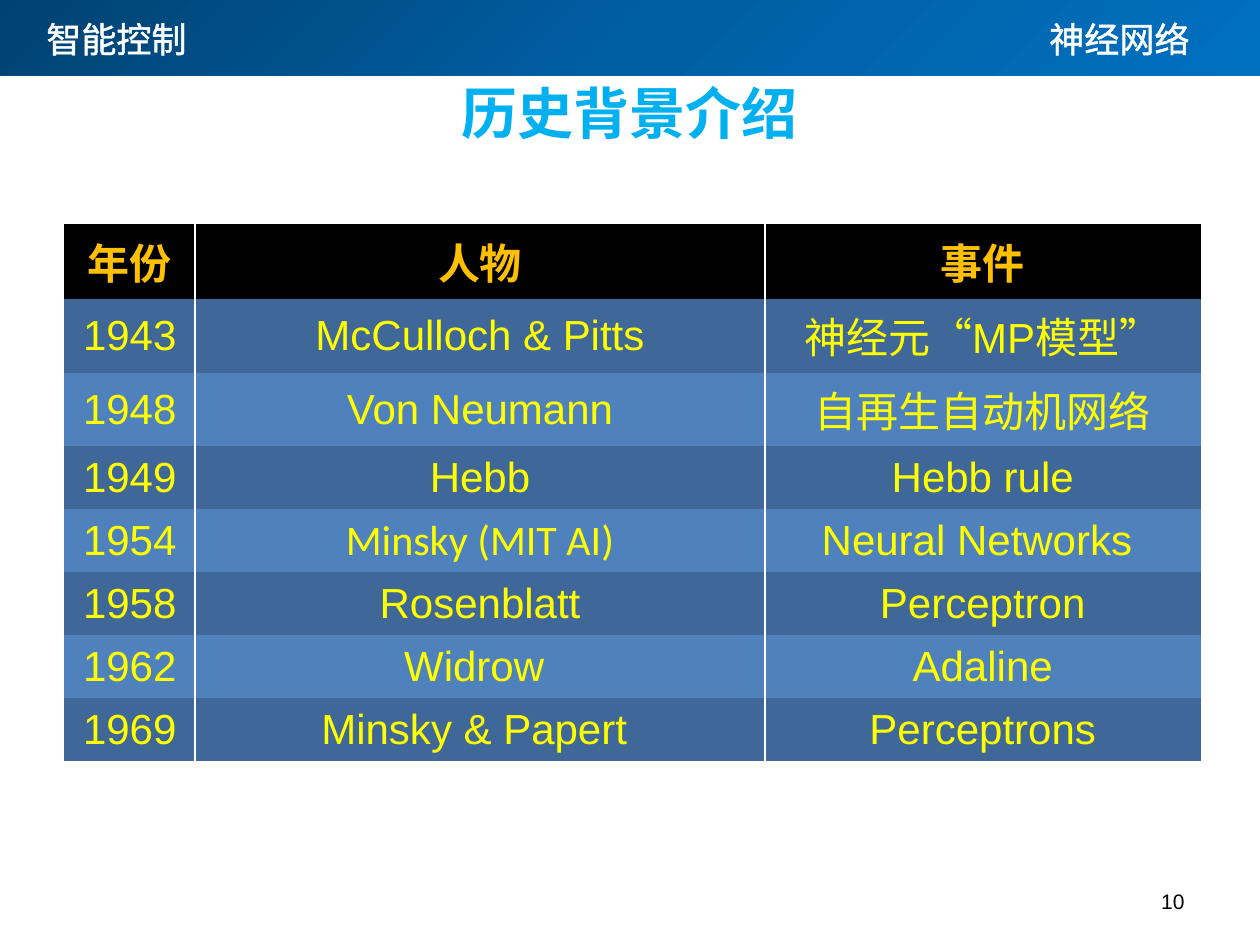
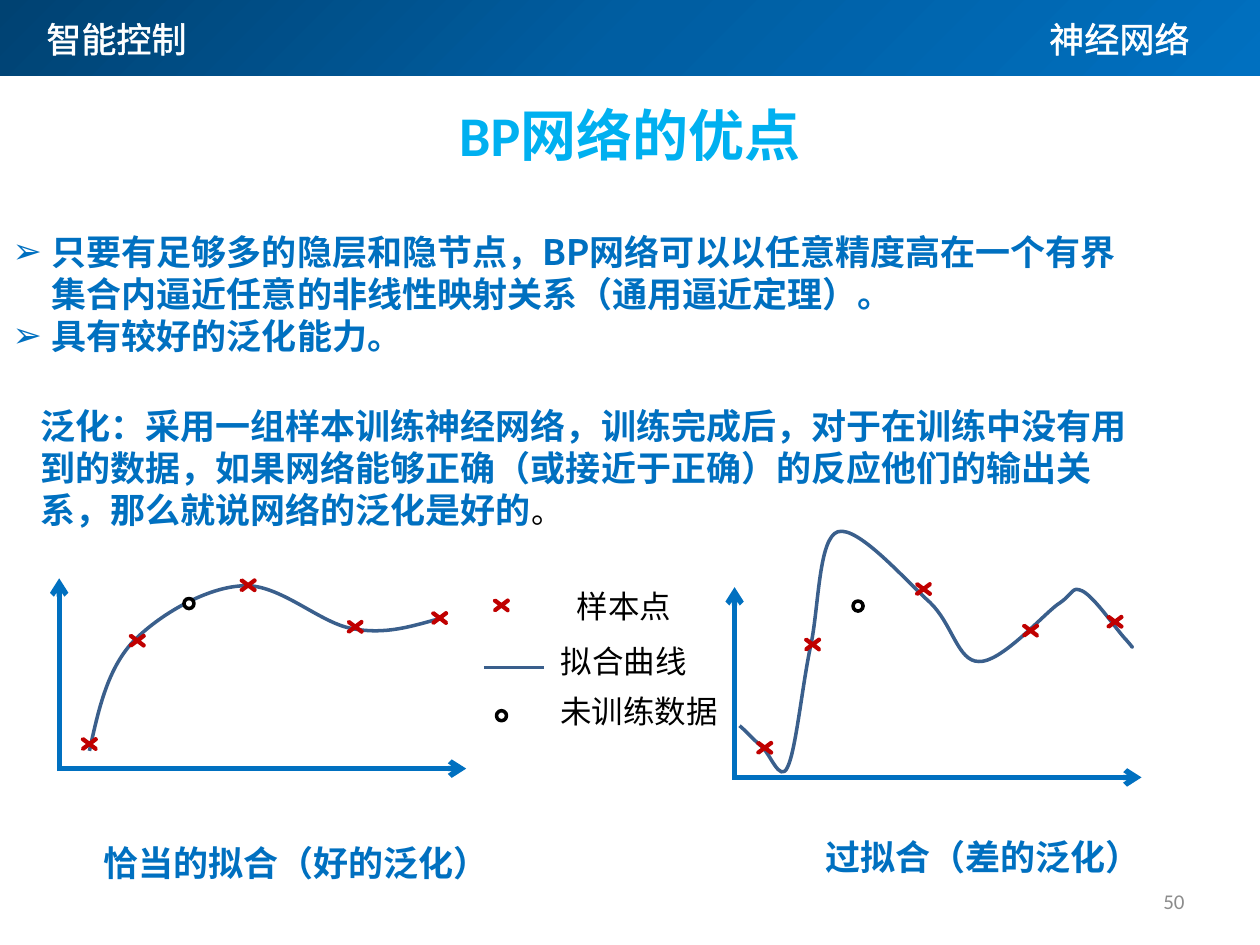
import dataclasses
import typing

import lxml.etree
import pptx
import pptx.dml.color
import pptx.enum.shapes
import pptx.enum.text
import pptx.oxml.ns
import pptx.util

Inches = pptx.util.Inches
Pt = pptx.util.Pt
qn = pptx.oxml.ns.qn
Align = pptx.enum.text.PP_ALIGN
Anchor = pptx.enum.text.MSO_ANCHOR
Preset = pptx.enum.shapes.MSO_SHAPE
Point = tuple[float, float]
Box = tuple[float, float, float, float]


@dataclasses.dataclass(frozen=True)
class Style:
    size: float
    color: str
    font: str = "Arial"
    bold: bool = False
    outline: tuple[str, float] | None = None


@dataclasses.dataclass(frozen=True)
class Theme:
    background: str = "FFFFFF"
    band: tuple[str, ...] = ("004272", "005EA2", "0070C0")
    table_header: str = "000000"
    table_rows: tuple[str, str] = ("3F6797", "4F81BD")
    table_border: str = "FFFFFF"
    axis: str = "0070C0"
    curve: str = "3A5F8C"
    sample: str = "C00000"
    untrained: str = "000000"
    east_asian: str = "Noto Sans CJK SC"
    header: Style = Style(20, "FFFFFF", outline=("FFFFFF", 1.45))
    title: Style = Style(32, "00B0F0", "Calibri", True, ("054697", 1))
    column: Style = Style(24, "FFC000", bold=True)
    cell: Style = Style(24, "FFFF00")
    cell_calibri: Style = Style(24, "FFFF00", "Calibri")
    body: Style = Style(20, "0070C0", "Noto Sans CJK SC", True)
    legend: Style = Style(18, "000000")
    number: Style = Style(12, "000000")
    number_gray: Style = Style(12, "8C8C8C", "Calibri")


THEME = Theme()


class Run(typing.NamedTuple):
    text: str
    style: Style


class Label(typing.NamedTuple):
    text: str
    box: Box
    style: Style


class Plot(typing.NamedTuple):
    origin: Point
    first_sample: Point
    untrained: Point
    curve: list[Point]
    caption: Label


class HistoryRow(typing.NamedTuple):
    height: float
    texts: tuple[str, str, str]


HEADERS = [
    Label("智能控制", (0.27, 0.09, 1.33, 0.44), THEME.header),
    Label("神经网络", (8.23, 0.09, 1.33, 0.44), THEME.header),
]
HISTORY = [
    HistoryRow(0.59, ("年份", "人物", "事件")),
    HistoryRow(0.59, ("1943", "McCulloch & Pitts", "神经元“MP模型”")),
    HistoryRow(0.58, ("1948", "Von Neumann", "自再生自动机网络")),
    HistoryRow(0.47, ("1949", "Hebb", "Hebb rule")),
    HistoryRow(0.5, ("1954", "Minsky (MIT AI)", "Neural Networks ")),
    HistoryRow(0.47, ("1958", "Rosenblatt", "Perceptron")),
    HistoryRow(0.47, ("1962", "Widrow ", "Adaline")),
    HistoryRow(0.47, ("1969", "Minsky & Papert ", "Perceptrons")),
]
COLUMN_WIDTHS = (1.04, 4.52, 3.46)
ADVANTAGES = [
    "只要有足够多的隐层和隐节点，BP网络可以以任意精度高在一个有界集合内逼近任意的非线性映射关系（通用逼近定理）。",
    "具有较好的泛化能力。",
]
GENERALIZATION = [
    Run("泛化：采用一组样本训练神经网络，训练完成后，对于在训练中没有用到的数据，如果网络能够正确（或接近于正确）的反应他们的输出关系，那么就说网络的泛化是好的", THEME.body),
    Run("。", THEME.legend),
]
LEGEND = [
    Label("样本点", (4.48, 4.61, 0.96, 0.4), THEME.legend),
    Label("拟合曲线", (4.35, 5.05, 1.21, 0.4), THEME.legend),
    Label("未训练数据", (4.35, 5.44, 1.46, 0.4), THEME.legend),
]
SAMPLE_OFFSETS = [(0, 0), (0.38, -0.82), (1.26, -1.26), (2.11, -0.93), (2.78, -1)]
PLOTS = [
    Plot(
        (0.47, 6.1), (0.61, 5.83), (1.46, 4.75),
        [(0.71, 5.96), (0.78, 5.64), (0.85, 5.32), (1.05, 5.1),
         (1.26, 4.88), (1.64, 4.66), (1.93, 4.65),
         (2.22, 4.63), (2.54, 4.95), (2.8, 4.99),
         (3.06, 5.04), (3.27, 4.97), (3.49, 4.91)],
        Label("恰当的拟合（好的泛化）", (0.72, 6.63, 3.29, 0.44), THEME.body),
    ),
    Plot(
        (5.83, 6.17), (5.97, 5.86), (6.77, 4.77),
        [(5.87, 5.76), (5.93, 5.81), (5.98, 5.87), (6.04, 5.92),
         (6.11, 5.97), (6.19, 6.22), (6.25, 6.09),
         (6.32, 5.95), (6.37, 5.41), (6.44, 5.1),
         (6.5, 4.79), (6.5, 4.27), (6.65, 4.22),
         (6.81, 4.17), (7.19, 4.61), (7.38, 4.78),
         (7.56, 4.95), (7.6, 5.25), (7.77, 5.25),
         (7.94, 5.26), (8.26, 4.9), (8.39, 4.8),
         (8.53, 4.71), (8.5, 4.65), (8.59, 4.69),
         (8.69, 4.74), (8.87, 5.01), (8.94, 5.08),
         (9, 5.15), (8.99, 5.14), (8.98, 5.13)],
        Label("过拟合（差的泛化）", (6.45, 6.58, 2.73, 0.44), THEME.body),
    ),
]


def rgb(color: str) -> pptx.dml.color.RGBColor:
    return pptx.dml.color.RGBColor.from_string(color)


def add_element(parent, tag: str, **attributes: str):
    element = lxml.etree.SubElement(parent, qn(tag))
    for name, value in attributes.items():
        element.set(name, value)
    return element


def add_color_line(parent, tag: str, color: str, width: float) -> None:
    line = add_element(parent, tag, w=str(Pt(width)))
    add_element(add_element(line, "a:solidFill"), "a:srgbClr", val=color)


def add_run(paragraph, text: str, style: Style) -> None:
    run = paragraph.add_run()
    run.text = text
    properties = run.font._element
    if style.outline:
        add_color_line(properties, "a:ln", *style.outline)
    run.font.size = Pt(style.size)
    run.font.bold = style.bold
    run.font.color.rgb = rgb(style.color)
    run.font.name = style.font
    add_element(properties, "a:ea", typeface=THEME.east_asian)


def place(shape, box: Box) -> None:
    shape.left, shape.top, shape.width, shape.height = map(Inches, box)


def add_text(slide, box: Box, runs: list[Run], wrap: bool = False):
    shape = slide.shapes.add_textbox(*map(Inches, box))
    shape.text_frame.word_wrap = wrap
    for run in runs:
        add_run(shape.text_frame.paragraphs[0], *run)
    return shape


def add_label(slide, label: Label) -> None:
    add_text(slide, label.box, [Run(label.text, label.style)])


def add_preset(slide, preset, box: Box, fill: str, line: str):
    shape = slide.shapes.add_shape(preset, *map(Inches, box))
    shape.shadow.inherit = False
    shape.fill.solid()
    shape.fill.fore_color.rgb = rgb(fill)
    shape.line.color.rgb = rgb(line)
    shape.line.width = Pt(2)
    return shape


def add_band(slide) -> None:
    band = add_preset(slide, Preset.RECTANGLE, (0, 0, 10, 0.6), THEME.band[0], THEME.band[0])
    band.line.fill.background()
    band.fill.gradient()
    gradient = band._element.spPr.find(qn("a:gradFill"))
    for child in list(gradient):
        gradient.remove(child)
    stops = add_element(gradient, "a:gsLst")
    for index, color in enumerate(THEME.band):
        stop = add_element(stops, "a:gs", pos=str(index * 50000))
        add_element(stop, "a:srgbClr", val=color)
    focus = add_element(gradient, "a:path", path="circle")
    add_element(focus, "a:fillToRect", r="100000", b="100000")


def start_slide(presentation, layout: int, title: str, anchor, number: Label):
    slide = presentation.slides.add_slide(presentation.slide_layouts[layout])
    slide.background.fill.solid()
    slide.background.fill.fore_color.rgb = rgb(THEME.background)
    add_band(slide)
    for header in HEADERS:
        add_label(slide, header)
    shape = slide.shapes.title
    place(shape, (0.5, 0.13, 9, 1.25))
    shape.text_frame.vertical_anchor = anchor
    paragraph = shape.text_frame.paragraphs[0]
    paragraph.alignment = Align.CENTER
    paragraph.line_spacing = Pt(58)
    add_run(paragraph, title, THEME.title)
    page = add_text(slide, number.box, [Run(number.text, number.style)], wrap=True)
    page.text_frame.vertical_anchor = Anchor.MIDDLE
    page.text_frame.paragraphs[0].alignment = Align.RIGHT
    return slide


def add_history_table(slide) -> None:
    box = (0.51, 1.78, sum(COLUMN_WIDTHS), sum(row.height for row in HISTORY))
    frame = slide.shapes.add_table(len(HISTORY), len(COLUMN_WIDTHS), *map(Inches, box))
    frame._element.find(".//" + qn("a:tableStyleId")).text = "{2D5ABB26-0587-4C30-8999-92F81FD0307C}"
    table = frame.table
    for column, width in zip(table.columns, COLUMN_WIDTHS):
        column.width = Inches(width)
    for row, (height, texts) in enumerate(HISTORY):
        table.rows[row].height = Inches(height)
        fill = THEME.table_rows[(row - 1) % 2] if row else THEME.table_header
        for column, text in enumerate(texts):
            cell = table.cell(row, column)
            cell.vertical_anchor = Anchor.MIDDLE
            properties = cell._tc.get_or_add_tcPr()
            if column > 0:
                add_color_line(properties, "a:lnL", THEME.table_border, 1.5)
            if column < len(texts) - 1:
                add_color_line(properties, "a:lnR", THEME.table_border, 1.5)
            cell.fill.solid()
            cell.fill.fore_color.rgb = rgb(fill)
            style = THEME.cell if row else THEME.column
            if text == "Minsky (MIT AI)":
                style = THEME.cell_calibri
            paragraph = cell.text_frame.paragraphs[0]
            paragraph.alignment = Align.CENTER
            add_run(paragraph, text, style)


def add_advantages(slide) -> None:
    body = slide.placeholders[1]
    place(body, (0, 1.78, 9.09, 1.11))
    frame = body.text_frame
    frame.auto_size = pptx.enum.text.MSO_AUTO_SIZE.NONE
    for index, text in enumerate(ADVANTAGES):
        paragraph = frame.add_paragraph() if index else frame.paragraphs[0]
        properties = paragraph._p.get_or_add_pPr()
        properties.set("marL", str(Inches(0.31)))
        properties.set("indent", str(-Inches(0.31)))
        add_element(properties, "a:buFont", typeface="Arial")
        add_element(properties, "a:buChar", char="➢")
        paragraph.space_before = Pt(0)
        paragraph.line_spacing = Pt(24)
        add_run(paragraph, text, THEME.body)


def add_line(slide, start: Point, end: Point, color: str, width: float, arrow: bool = False) -> None:
    connector = slide.shapes.add_connector(
        pptx.enum.shapes.MSO_CONNECTOR.STRAIGHT, *map(Inches, start + end))
    connector.line.color.rgb = rgb(color)
    connector.line.width = Pt(width)
    if arrow:
        add_element(connector.line._get_or_add_ln(), "a:tailEnd", type="arrow")
    add_element(connector._element.spPr, "a:effectLst")


def add_sample(slide, left: float, top: float) -> None:
    cross = add_preset(slide, Preset.MATH_MULTIPLY, (left, top, 0.2, 0.15), THEME.sample, THEME.sample)
    cross.adjustments[0] = 0.037


def add_untrained(slide, left: float, top: float) -> None:
    add_preset(slide, Preset.OVAL, (left, top, 0.08, 0.08), THEME.background, THEME.untrained)


def add_curve(slide, knots: list[Point]) -> None:
    points = [(Inches(x), Inches(y)) for x, y in knots]
    builder = slide.shapes.build_freeform(*points[0])
    builder.add_line_segments(points[1:], close=False)
    curve = builder.convert_to_shape()
    segments = list(curve._element.iter(qn("a:lnTo")))
    for first in range(0, len(segments), 3):
        bezier = add_element(segments[first].getparent(), "a:cubicBezTo")
        for segment in segments[first:first + 3]:
            bezier.append(segment[0])
            segment.getparent().remove(segment)
    curve.shadow.inherit = False
    curve.fill.background()
    curve.line.color.rgb = rgb(THEME.curve)
    curve.line.width = Pt(2)


def add_plot(slide, plot: Plot) -> None:
    x, y = plot.origin
    add_line(slide, (x, y), (x + 3.23, y), THEME.axis, 3, arrow=True)
    add_line(slide, (x, y + 0.02), (x, y - 1.51), THEME.axis, 3, arrow=True)
    add_curve(slide, plot.curve)
    left, top = plot.first_sample
    for across, down in SAMPLE_OFFSETS:
        add_sample(slide, left + across, top + down)
    add_untrained(slide, *plot.untrained)
    add_label(slide, plot.caption)


def main() -> None:
    presentation = pptx.Presentation()
    presentation.slide_width, presentation.slide_height = Inches(10), Inches(7.5)
    number_box = (7.17, 6.95, 2.33, 0.4)

    history = start_slide(presentation, 5, "历史背景介绍", Anchor.MIDDLE,
                          Label("10", number_box, THEME.number))
    add_history_table(history)

    advantages = start_slide(presentation, 1, "BP网络的优点", Anchor.BOTTOM,
                             Label("50", number_box, THEME.number_gray))
    add_advantages(advantages)
    definition = add_text(advantages, (0.22, 3.16, 8.98, 1.11), GENERALIZATION, wrap=True)
    paragraph = definition.text_frame.paragraphs[0]
    paragraph.line_spacing = Pt(24)
    paragraph._p.get_or_add_pPr().set("hangingPunct", "0")
    for label in LEGEND:
        add_label(advantages, label)
    add_sample(advantages, 3.88, 4.73)
    add_line(advantages, (3.84, 5.3), (4.32, 5.3), THEME.curve, 1.5)
    add_untrained(advantages, 3.94, 5.64)
    for plot in PLOTS:
        add_plot(advantages, plot)
    presentation.save("out.pptx")


if __name__ == "__main__":
    main()
